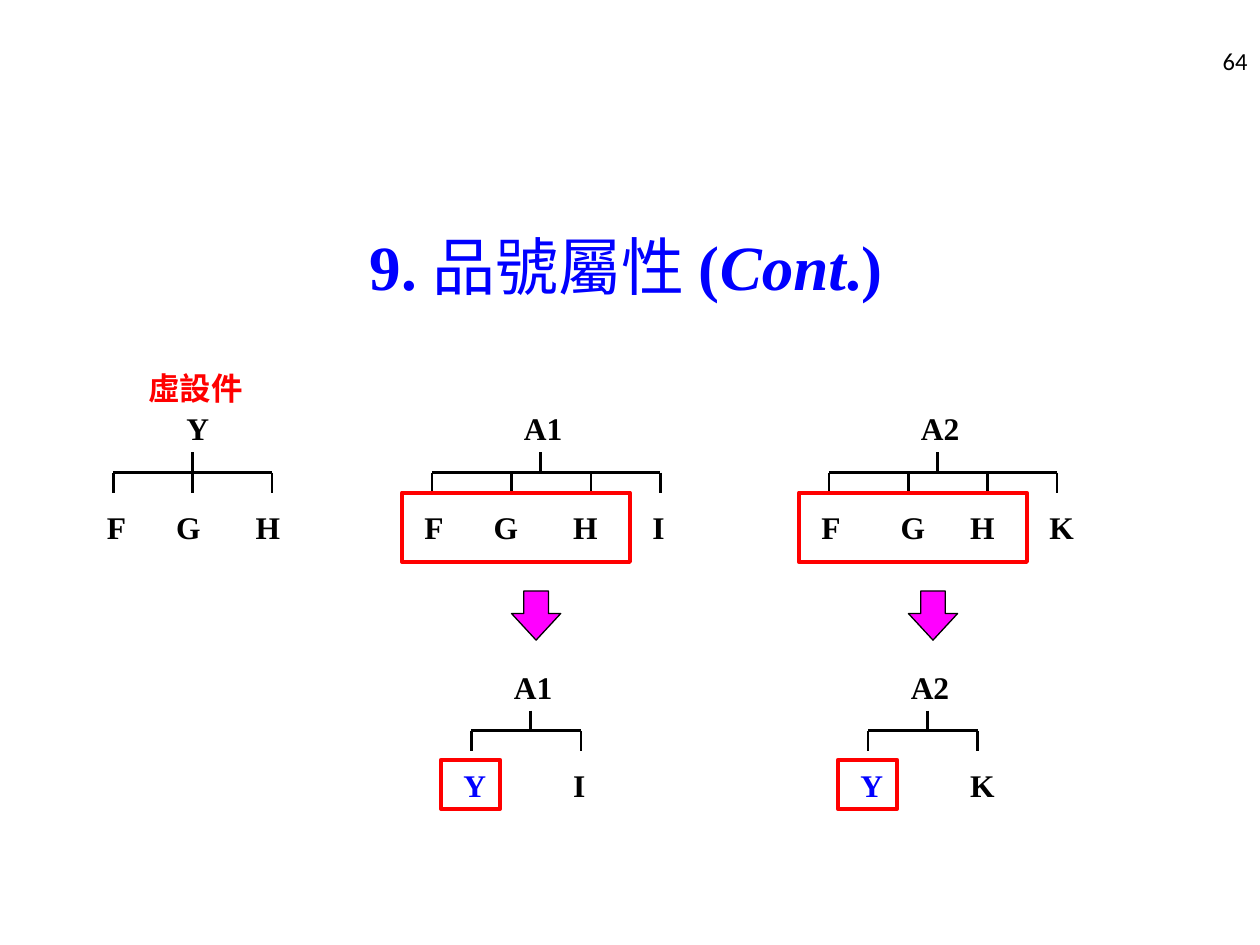
"""Builds a slide of product trees in which parts F, G and H become phantom part Y."""
from lxml.etree import SubElement
from pptx import Presentation
from pptx.dml.color import RGBColor
from pptx.enum.shapes import MSO_CONNECTOR, MSO_SHAPE
from pptx.enum.text import MSO_ANCHOR, PP_ALIGN
from pptx.oxml.ns import qn
from pptx.util import Inches, Pt

BLACK = RGBColor(0, 0, 0)
BLUE = RGBColor(0, 0, 255)
RED = RGBColor(255, 0, 0)
MAGENTA = RGBColor(255, 0, 255)
SERIF = "Times New Roman"
TOP_ROW, BOTTOM_ROW = 3.2, 5.25


def style_run(r, size, color, font=SERIF, bold=True, italic=False):
    """Format one run."""
    r.font.size, r.font.name = Pt(size), font
    r.font.bold, r.font.italic = bold, italic
    r.font.color.rgb = color


def add_box(slide, x, y, w, h, anchor=MSO_ANCHOR.TOP):
    """Add a wrapping text box and return its text frame."""
    tf = slide.shapes.add_textbox(Inches(x), Inches(y), Inches(w), Inches(h)).text_frame
    tf.word_wrap = True
    tf.vertical_anchor = anchor
    return tf


def add_label(slide, text, x, y, w=0.39, color=BLACK):
    """Add a bold part label."""
    p = add_box(slide, x, y, w, 0.4).paragraphs[0]
    p.text = text
    style_run(p.runs[0], 18, color)


def add_line(slide, x1, y1, x2, y2):
    """Add a black branch line."""
    c = slide.shapes.add_connector(
        MSO_CONNECTOR.STRAIGHT, Inches(x1), Inches(y1), Inches(x2), Inches(y2))
    c.line.color.rgb = BLACK
    c.line.width = Pt(1.5)
    SubElement(c._element.spPr, qn("a:effectLst"))


def add_shape(slide, kind, x, y, w, h, line, width, fill=None):
    """Add an outlined preset shape, filled if a colour is given."""
    sp = slide.shapes.add_shape(kind, Inches(x), Inches(y), Inches(w), Inches(h))
    sp.shadow.inherit = False
    sp.line.color.rgb = line
    sp.line.width = Pt(width)
    if fill is None:
        sp.fill.background()
    else:
        sp.fill.solid()
        sp.fill.fore_color.rgb = fill
    return sp


def add_tree(slide, root, root_x, stem_x, y, parts):
    """Add a root above its parts, each given as label, label x and branch x."""
    stem_y, bar_y, branch_y, part_y = (y + d for d in (0.39, 0.55, 0.71, 0.78))
    add_label(slide, root, root_x, y, 0.55)
    add_line(slide, stem_x, stem_y, stem_x, bar_y)
    add_line(slide, parts[-1][2], bar_y, parts[0][2], bar_y)
    for text, label_x, branch_x in parts:
        add_line(slide, branch_x, bar_y, branch_x, branch_y)
        is_phantom = text == "Y"
        add_label(slide, text, label_x, part_y, color=BLUE if is_phantom else BLACK)


def add_product(slide, name, last, x, g_x):
    """Add a product's full tree, an arrow and its tree with the phantom part."""
    add_tree(slide, name, x + 0.87, x + 1.1, TOP_ROW, [
        ("F", x + 0.08, x + 0.24), ("G", g_x, x + 0.87),
        ("H", x + 1.26, x + 1.5), (last, x + 1.89, x + 2.05)])
    add_shape(slide, MSO_SHAPE.RECTANGLE, x, 3.91, 1.81, 0.55, RED, 2.25)
    arrow = add_shape(slide, MSO_SHAPE.DOWN_ARROW, x + 0.87, 4.69, 0.39, 0.39,
                      BLACK, 0.75, MAGENTA)
    arrow.adjustments[0], arrow.adjustments[1] = 0.5, 0.54
    add_tree(slide, name, x + 0.79, x + 1.02, BOTTOM_ROW, [
        ("Y", x + 0.39, x + 0.55), (last, x + 1.26, x + 1.42)])
    add_shape(slide, MSO_SHAPE.RECTANGLE, x + 0.31, 6.03, 0.47, 0.39, RED, 2.25)


def add_title(slide):
    """Add the centred title."""
    p = add_box(slide, 0.47, 1.48, 9, 1.25, MSO_ANCHOR.MIDDLE).paragraphs[0]
    p.alignment = PP_ALIGN.CENTER
    for text, bold, italic in (("9. ", True, False), ("品號屬性 ", False, False),
                               ("(", True, False), ("Cont", True, True),
                               (".)", True, False)):
        r = p.add_run()
        r.text = text
        style_run(r, 36, BLUE, bold=bold, italic=italic)


def add_page_number(slide):
    """Add the page number at the right edge."""
    p = add_box(slide, 7.67, 0.28, 2.33, 0.4, MSO_ANCHOR.MIDDLE).paragraphs[0]
    p.text = "64"
    p.alignment = PP_ALIGN.RIGHT
    style_run(p.runs[0], 14, BLACK, "Calibri", bold=False)


def main():
    """Build and save the slide."""
    prs = Presentation()
    prs.slide_width, prs.slide_height = Inches(10), Inches(7.5)
    slide = prs.slides.add_slide(prs.slide_layouts[6])
    add_page_number(slide)
    add_title(slide)
    add_label(slide, "虛設件", 1.08, 2.88, 1.02, RED)
    add_tree(slide, "Y", 1.38, 1.53, TOP_ROW, [
        ("F", 0.75, 0.9), ("G", 1.3, 1.53), ("H", 1.93, 2.16)])
    add_product(slide, "A1", "I", 3.19, 3.82)
    add_product(slide, "A2", "K", 6.34, 7.05)
    prs.save("out.pptx")


if __name__ == "__main__":
    main()
